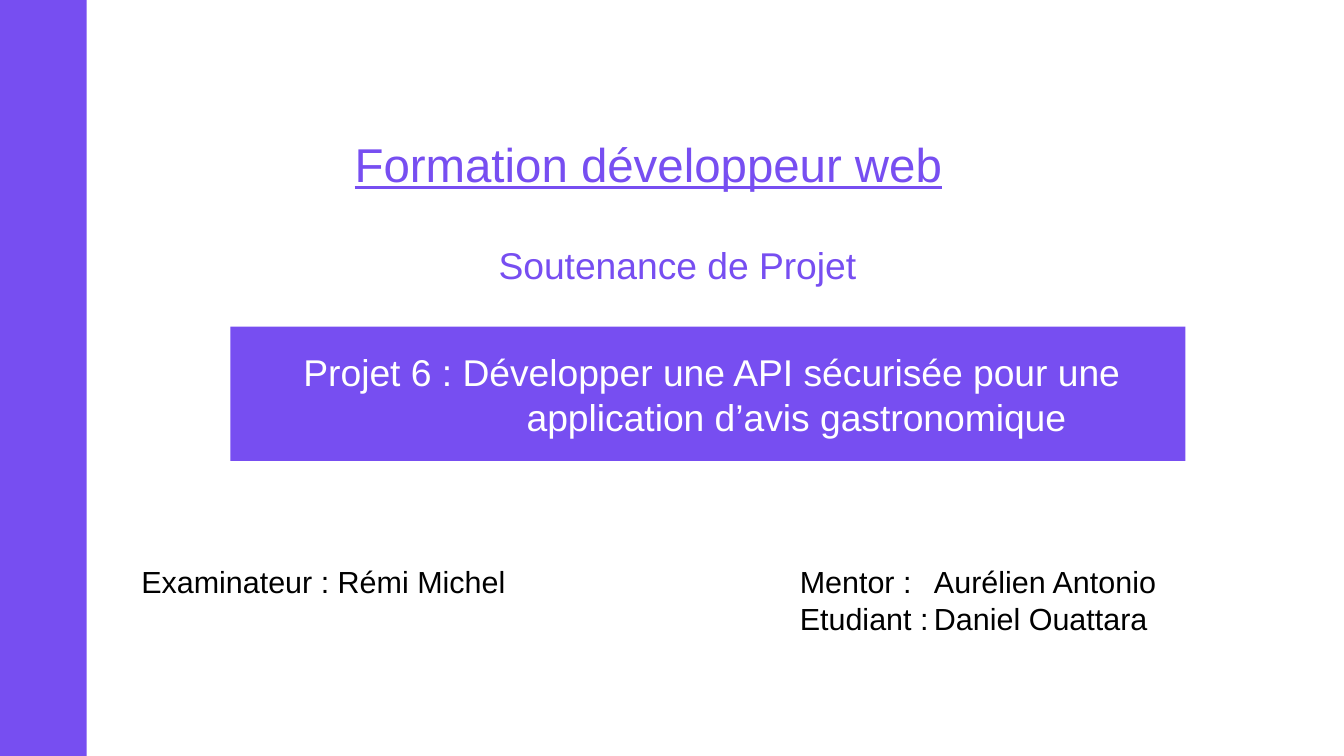
import pptx
import pptx.util
import pptx.dml.color
import pptx.enum.shapes
import pptx.enum.text
import lxml.etree
from pptx.oxml.ns import qn

Inches = pptx.util.Inches
PURPLE, WHITE, BLACK = "774EF1", "FFFFFF", "000000"


def color(hex_string):
    """Return the RGB colour for a hex string."""
    return pptx.dml.color.RGBColor.from_string(hex_string)


def write(sp, lines, size, hex_string):
    """Fill a shape with left-aligned lines and return its paragraphs."""
    tf = sp.text_frame
    tf.word_wrap = True
    tf.text = "\n".join(lines)
    for p in tf.paragraphs:
        p.alignment = pptx.enum.text.PP_ALIGN.LEFT
        p.font.name = "Arial"
        p.font.size = pptx.util.Pt(size)
        p.font.color.rgb = color(hex_string)
    return tf.paragraphs


prs = pptx.Presentation()
prs.slide_width, prs.slide_height = Inches(11.02), Inches(6.2)
s = prs.slides.add_slide(prs.slide_layouts[6])

# Purple side bar and project banner
bars = []
for box in [(0, 0, 0.71, 6.2), (1.89, 2.68, 7.83, 1.1)]:
    sp = s.shapes.add_shape(pptx.enum.shapes.MSO_SHAPE.RECTANGLE, *map(Inches, box))
    sp.shadow.inherit = False
    sp.fill.solid()
    sp.fill.fore_color.rgb = color(PURPLE)
    sp.line.fill.background()
    bars.append(sp)
side_bar, banner = bars

# Hanging indent sets the second banner line further right
p = write(banner, ["Projet 6\u00a0: Développer une API sécurisée pour une "
                   "application d’avis gastronomique"], 22, WHITE)[0]
pPr = p._p.get_or_add_pPr()
pPr.set("marL", str(Inches(2.33)))
pPr.set("indent", str(Inches(0.5) - Inches(2.33)))

# Headings and people
texts = [
    ((2.81, 1.06, 7.03, 0.57), ["Formation développeur web"], 28, PURPLE),
    ((2.72, 1.62, 5.67, 1.1), ["Soutenance de Projet"], 22, PURPLE),
    ((1.06, 4.57, 4.09, 0.38), ["Examinateur\u00a0: Rémi Michel"], 18, BLACK),
    ((6.46, 4.57, 4.02, 0.66),
     ["Mentor\u00a0:\tAurélien Antonio", "Etudiant\u00a0:\tDaniel Ouattara"], 18, BLACK),
]
blocks = []
for box, lines, size, hex_string in texts:
    sp = s.shapes.add_textbox(*map(Inches, box))
    blocks.append((sp, write(sp, lines, size, hex_string)))
title, subtitle, examiner, people = blocks

title[1][0].font.underline = True
subtitle[0].text_frame.vertical_anchor = pptx.enum.text.MSO_ANCHOR.MIDDLE
subtitle[1][0].alignment = pptx.enum.text.PP_ALIGN.CENTER

# A tab stop aligns the two names
for p in people[1]:
    tabs = lxml.etree.Element(qn("a:tabLst"))
    lxml.etree.SubElement(tabs, qn("a:tab"), pos=str(Inches(1.1)), algn="l")
    p._p.get_or_add_pPr().insert(0, tabs)

prs.save("out.pptx")
